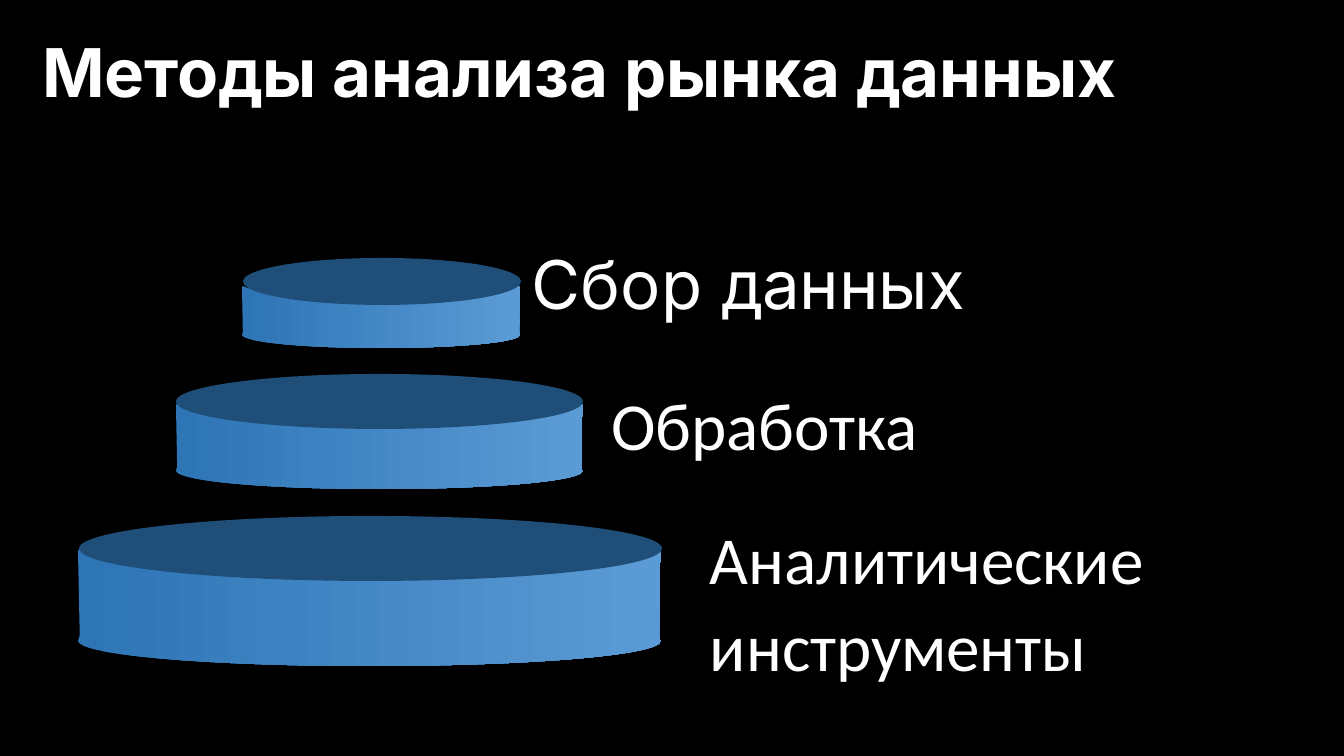
from dataclasses import dataclass

from lxml.etree import SubElement
from pptx import Presentation
from pptx.dml.color import RGBColor as RGB
from pptx.enum.shapes import MSO_SHAPE as SHAPE
from pptx.enum.text import MSO_ANCHOR as ANCHOR, MSO_AUTO_SIZE as AUTO, PP_ALIGN as ALIGN
from pptx.oxml.ns import qn
from pptx.util import Pt

SCALE = 914400 / 100.8  # EMU in one px
SLIDE_W, SLIDE_H = 1344, 756


@dataclass(frozen=True)
class Theme:
    back: RGB = RGB.from_string("000000")
    text: RGB = RGB.from_string("FFFFFF")
    lid: RGB = RGB.from_string("1F4E79")
    wall_left: RGB = RGB.from_string("2E75B6")
    wall_right: RGB = RGB.from_string("5B9BD5")
    size: Pt = Pt(48)
    heading_font: str = "Inter"
    label_font: str = "Calibri"


THEME = Theme()

# Each tier: wall box, lid box, label box, label lines, label font
TIERS = [
    ((242, 286, 278, 62), (243, 258, 278, 47), (522, 246, 722, 144),
     ["Сбор данных"], THEME.heading_font),
    ((176, 403, 407, 86), (176, 374, 407, 55), (586, 388, 758, 117),
     [" Обработка"], THEME.label_font),
    ((78, 548, 583, 118), (79, 516, 583, 65), (700, 522, 644, 117),
     ["Аналитические", "инструменты"], THEME.label_font),
]

# Left half of a wall on a 1000 x 1000 grid, from top middle to bottom middle:
# a curve, straight steps down the side, and a curve
GRID = 1000
WALL_HALF = [(500, 260), (283, 260), (90, 160), (10, 16),
             (3, 0), (0, 26), (3, 740), (0, 790), (3, 810), (10, 830),
             (57, 930), (260, 1000), (500, 1000)]


def px(*values):
    return [round(v * SCALE) for v in values]


def write(tf, lines, font, bold=False):
    tf.word_wrap = True
    tf.auto_size = AUTO.NONE
    tf.vertical_anchor = ANCHOR.TOP
    for i, line in enumerate(lines):
        p = tf.paragraphs[0] if i == 0 else tf.add_paragraph()
        p.text = line
        p.alignment = ALIGN.LEFT
        p.line_spacing = 0.9
        p.space_before = Pt(10 if i else 0)
        p.font.name, p.font.size, p.font.bold = font, THEME.size, bold
        p.font.color.rgb = THEME.text


def add_title(s, box, text):
    sp = s.shapes.title
    sp.left, sp.top, sp.width, sp.height = px(*box)
    write(sp.text_frame, [text], THEME.heading_font, bold=True)


def add_segment(outline, kind, points):
    segment = SubElement(outline, qn(f"a:{kind}"))
    for x, y in points:
        SubElement(segment, qn("a:pt"), x=str(x), y=str(y))


def curve_outline(sp):
    """Give a rectangular freeform the curved outline of a disk's wall."""
    outline = next(sp._element.iter(qn("a:path")))
    for child in list(outline):
        outline.remove(child)
    outline.set("w", str(GRID))
    outline.set("h", str(GRID))
    mirrored = [(GRID - x, y) for x, y in reversed(WALL_HALF)]
    add_segment(outline, "moveTo", WALL_HALF[:1])
    for half in (WALL_HALF, mirrored):
        add_segment(outline, "cubicBezTo", half[1:4])
        for point in half[4:-3]:
            add_segment(outline, "lnTo", [point])
        add_segment(outline, "cubicBezTo", half[-3:])
    SubElement(outline, qn("a:close"))


def add_wall(s, box):
    x, y, w, h = px(*box)
    builder = s.shapes.build_freeform(x, y, scale=1.0)
    builder.add_line_segments([(x + w, y), (x + w, y + h), (x, y + h)], close=True)
    sp = builder.convert_to_shape()
    curve_outline(sp)
    sp.shadow.inherit = False
    sp.line.fill.background()
    sp.fill.gradient()
    sp.fill.gradient_angle = 0
    colours = (THEME.wall_left, THEME.wall_right)
    for position, (stop, colour) in enumerate(zip(sp.fill.gradient_stops, colours)):
        stop.position = position
        stop.color.rgb = colour


def add_lid(s, box):
    sp = s.shapes.add_shape(SHAPE.OVAL, *px(*box))
    sp.shadow.inherit = False
    sp.line.fill.background()
    sp.fill.solid()
    sp.fill.fore_color.rgb = THEME.lid


def add_label(s, box, lines, font):
    sp = s.shapes.add_textbox(*px(*box))
    write(sp.text_frame, lines, font)


def add_tier(s, wall, lid, label, lines, font):
    add_wall(s, wall)
    add_lid(s, lid)
    add_label(s, label, lines, font)


def main():
    prs = Presentation()
    prs.slide_width, prs.slide_height = px(SLIDE_W, SLIDE_H)
    s = prs.slides.add_slide(prs.slide_layouts[5])
    s.background.fill.solid()
    s.background.fill.fore_color.rgb = THEME.back
    add_title(s, (32, 34, 1280, 111), "Методы анализа рынка данных")
    for tier in TIERS:
        add_tier(s, *tier)
    prs.save("out.pptx")


if __name__ == "__main__":
    main()
